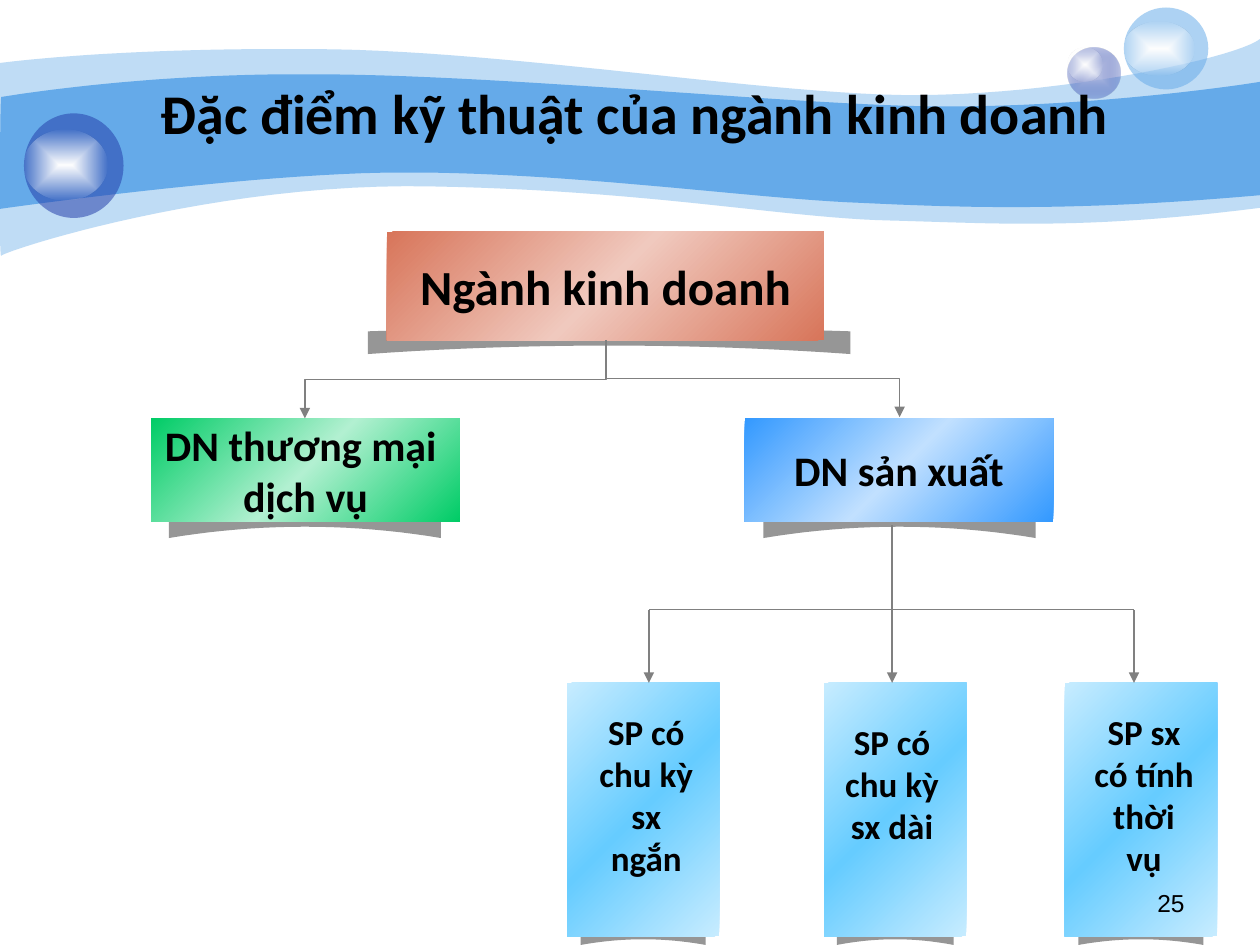
import lxml.etree
import pptx
import pptx.dml.color
import pptx.enum.shapes
import pptx.enum.text
import pptx.oxml.ns
import pptx.util

WIDTH, HEIGHT = 10, 7.5
THEME = {
    "heading_font": "Calibri", "number_font": "Arial",
    "text": "000000", "line": "808080", "shadow": "969696",
    "wave": "65AAE9", "navy": "233DA9", "pale_navy": "C7CEE9", "glow": "FFFFFF",
    "red": ("D8755A", "F0C9BE"), "green": ("00CC66", "B2F0D1"),
    "blue": ("3399FF", "C1E0FF"), "sky": ("C7ECFF", "66CCFF"),
    "title": 32, "root": 28, "branch": 24, "leaf": 20, "number": 14, "stroke": 0.75,
}

# Content
TITLE = "Đặc điểm kỹ thuật của ngành kinh doanh"
PAGE = "25"
# text, colour, size, box, shadow (left, top, width, height)
BOXES = [
    ("DN thương mại \ndịch vụ", "green", "branch", (1.2, 3.32, 2.45, 0.82), (1.34, 3.95, 2.16, 0.32)),
    ("DN sản xuất", "blue", "branch", (5.91, 3.32, 2.45, 0.82), (6.06, 3.95, 2.16, 0.32)),
    ("Ngành kinh doanh", "red", "root", (3.07, 1.84, 3.47, 0.86), (2.92, 2.57, 3.83, 0.24)),
]
# text, box left, box width, arrow x, text left, text top
LEAVES = [
    ("SP có chu kỳ sx ngắn", 4.5, 1.21, 5.15, 4.63, 5.59),
    ("SP có chu kỳ sx dài", 6.54, 1.13, 7.08, 6.58, 5.67),
    ("SP sx có tính thời vụ", 8.45, 1.21, 9, 8.58, 5.59),
]
LEAF_TOP, LEAF_HEIGHT, BUS_Y = 5.42, 2.01, 4.84
ROOT_FOOT = (4.81, 2.7)
BRANCH_HEADS = [(2.42, 3.32), (7.14, 3.31)]

# Waves: opacity, then two edges, each a start point and cubic segments
WAVES = [
    (41,
     [(0, 0.5), (0.24, 0.47, 1.07, 0.38, 2.47, 0.39), (3.86, 0.39, 5.75, 0.7, 6.99, 0.75),
      (8.22, 0.8, 9.8, 0.47, 10, 0.31)],
     [(10, 1.65), (8.58, 1.83, 7.87, 1.77, 7.05, 1.75), (6.22, 1.73, 5.15, 1.51, 3.43, 1.48),
      (1.72, 1.44, 0.04, 1.99, 0.01, 2.03), (-0.01, 2.08, 0, 0.75, 0, 0.5)]),
    (100,
     [(0.01, 0.77), (0.02, 0.77, 1.1, 0.58, 2.48, 0.59), (3.86, 0.59, 5.95, 0.8, 7.18, 0.84),
      (8.41, 0.88, 9.76, 0.69, 10, 0.65)],
     [(10, 1.55), (8.53, 1.68, 7.65, 1.65, 6.82, 1.61), (5.99, 1.58, 4.47, 1.36, 3.17, 1.37),
      (2.03, 1.37, -0.02, 1.66, -0.01, 1.66), (0, 1.66, 0, 0.77, 0.01, 0.77)]),
]
# ball, ball stops (position, colour, opacity), highlight
BALLS = [
    ((8.47, 0.38, 0.42, 0.4), [(0, "pale_navy", 100), (100, "navy", 31)], (8.47, 0.38, 0.28, 0.27)),
    ((8.92, 0.06, 0.67, 0.65), [(0, "wave", 53)], (8.92, 0.17, 0.56, 0.43)),
    ((0.19, 0.9, 0.79, 0.83), [(0, "navy", 53)], (0.19, 1.03, 0.66, 0.56)),
]
HIGHLIGHT = [(0, "glow", 100), (100, "glow", 0)]

SHAPE = pptx.enum.shapes.MSO_SHAPE
LINK = pptx.enum.shapes.MSO_CONNECTOR
ALIGN = pptx.enum.text.PP_ALIGN
ANCHOR = pptx.enum.text.MSO_ANCHOR
inch, qn, sub = pptx.util.Inches, pptx.oxml.ns.qn, lxml.etree.SubElement

deck = pptx.Presentation()
deck.slide_width, deck.slide_height = inch(WIDTH), inch(HEIGHT)
slide = deck.slides.add_slide(deck.slide_layouts[6])


def paint(shape, stops, diagonal=False):
    """Fill with one colour, or with a diagonal or centred gradient."""
    shape.shadow.inherit = False
    shape.line.fill.background()
    shape.fill.background()
    empty = shape._element.spPr.find(qn("a:noFill"))
    fill = lxml.etree.Element(qn("a:solidFill" if len(stops) == 1 else "a:gradFill"))
    empty.getparent().replace(empty, fill)
    holder = fill if len(stops) == 1 else sub(fill, qn("a:gsLst"))
    for position, colour, opacity in stops:
        slot = holder if holder is fill else sub(holder, qn("a:gs"), pos=str(position * 1000))
        tone = sub(slot, qn("a:srgbClr"), val=THEME.get(colour, colour))
        if opacity < 100:
            sub(tone, qn("a:alpha"), val=str(opacity * 1000))
    if diagonal:
        sub(fill, qn("a:lin"), ang="2700000", scaled="0")
    elif len(stops) > 1:
        centre = sub(fill, qn("a:path"), path="rect")
        sub(centre, qn("a:fillToRect"), l="50000", t="50000", r="50000", b="50000")


def add_preset(kind, box, stops, diagonal=False):
    shape = slide.shapes.add_shape(kind, *map(inch, box))
    paint(shape, stops, diagonal)
    return shape


def add_outline(points, stops):
    (x, y), *rest = [(inch(x), inch(y)) for x, y in points]
    builder = slide.shapes.build_freeform(x, y, scale=1.0)
    builder.add_line_segments(rest, close=True)
    paint(builder.convert_to_shape(), stops)


def trace(edge, steps=24):
    """Points along a chain of cubic curves."""
    points = [edge[0]]
    for x1, y1, x2, y2, x3, y3 in edge[1:]:
        x0, y0 = points[-1]
        for t in (i / steps for i in range(1, steps + 1)):
            s = 1 - t
            weights = (s ** 3, 3 * s * s * t, 3 * s * t * t, t ** 3)
            points.append((sum(w * x for w, x in zip(weights, (x0, x1, x2, x3))),
                           sum(w * y for w, y in zip(weights, (y0, y1, y2, y3)))))
    return points


def add_shadow(left, top, width, height):
    """Roofed strip with an arched foot, seen below a box."""
    arch = [(left + width * (1 - u) / 2, top + height * (1 - 0.28 * (1 - u * u)))
            for u in (i / 10 - 1 for i in range(21))]
    shoulder = top + height / 4
    roof = [(left, shoulder), (left + width / 2, top), (left + width, shoulder)]
    add_outline(arch + roof, [(0, "shadow", 100)])


def add_gradient_box(box, colour):
    edge, middle = THEME[colour]
    return add_preset(SHAPE.RECTANGLE, box,
                      [(0, edge, 100), (50, middle, 100), (100, edge, 100)], diagonal=True)


def write(frame, text, size, font="heading_font", bold=True, align=ALIGN.CENTER,
          anchor=ANCHOR.TOP, wrap=True):
    frame.word_wrap, frame.vertical_anchor = wrap, anchor
    for i, words in enumerate(text.split("\n")):
        line = frame.add_paragraph() if i else frame.paragraphs[0]
        line.alignment = align
        run = line.add_run()
        run.text = words
        run.font.name, run.font.size, run.font.bold = THEME[font], pptx.util.Pt(THEME[size]), bold
        run.font.color.rgb = pptx.dml.color.RGBColor.from_string(THEME["text"])


def add_text(box, text, **style):
    write(slide.shapes.add_textbox(*map(inch, box)).text_frame, text, **style)


def add_link(start, end, kind=LINK.STRAIGHT, arrow=True):
    link = slide.shapes.add_connector(kind, *map(inch, start + end))
    link.line.width = pptx.util.Pt(THEME["stroke"])
    link.line.color.rgb = pptx.dml.color.RGBColor.from_string(THEME["line"])
    if arrow:
        sub(link.line._get_or_add_ln(), qn("a:tailEnd"), type="triangle")
    sub(link._element.spPr, qn("a:effectLst"))
    return link


def add_drop(start, end):
    """Elbow that leaves downwards: a quarter-turned elbow about the same centre."""
    (x1, y1), (x2, y2) = start, end
    cx, cy, half_w, half_h = (x1 + x2) / 2, (y1 + y2) / 2, (y2 - y1) / 2, abs(x2 - x1) / 2
    side = 1 if x2 < x1 else -1
    link = add_link((cx - side * half_w, cy - half_h), (cx + side * half_w, cy + half_h), LINK.ELBOW)
    link._element.spPr.find(qn("a:xfrm")).set("rot", str((90 if side > 0 else 270) * 60000))


# Backdrop
for opacity, upper, lower in WAVES:
    add_outline(trace(upper) + trace(lower), [(0, "wave", opacity)])
for ball, stops, highlight in BALLS:
    add_preset(SHAPE.OVAL, ball, stops)
    add_preset(SHAPE.OVAL, highlight, HIGHLIGHT)
add_text((0.58, 0.58, 8.92, 0.62), TITLE, size="title", anchor=ANCHOR.MIDDLE)

# Root and branches
for label, colour, size, box, shadow in BOXES:
    add_shadow(*shadow)
    write(add_gradient_box(box, colour).text_frame, label, size=size,
          anchor=ANCHOR.MIDDLE, wrap=False)
for head in BRANCH_HEADS:
    add_drop(ROOT_FOOT, head)

# Leaves hang from one bus line
add_link((LEAVES[0][3], BUS_Y), (LEAVES[-1][3], BUS_Y), arrow=False)
add_link((LEAVES[1][3], 4.17), (LEAVES[1][3], BUS_Y), arrow=False)
for label, left, width, arrow_x, text_left, text_top in LEAVES:
    add_shadow(left + width * 0.09, 7.34, width * 0.82, 0.16)
    add_gradient_box((left, LEAF_TOP, width, LEAF_HEIGHT), "sky")
    add_link((arrow_x, BUS_Y), (arrow_x, LEAF_TOP))
    add_text((text_left, text_top, 1, 1.44), label, size="leaf")

add_text((7.17, 7, 2.33, 0.35), PAGE, size="number", font="number_font",
         bold=False, align=ALIGN.RIGHT)

deck.save("out.pptx")
